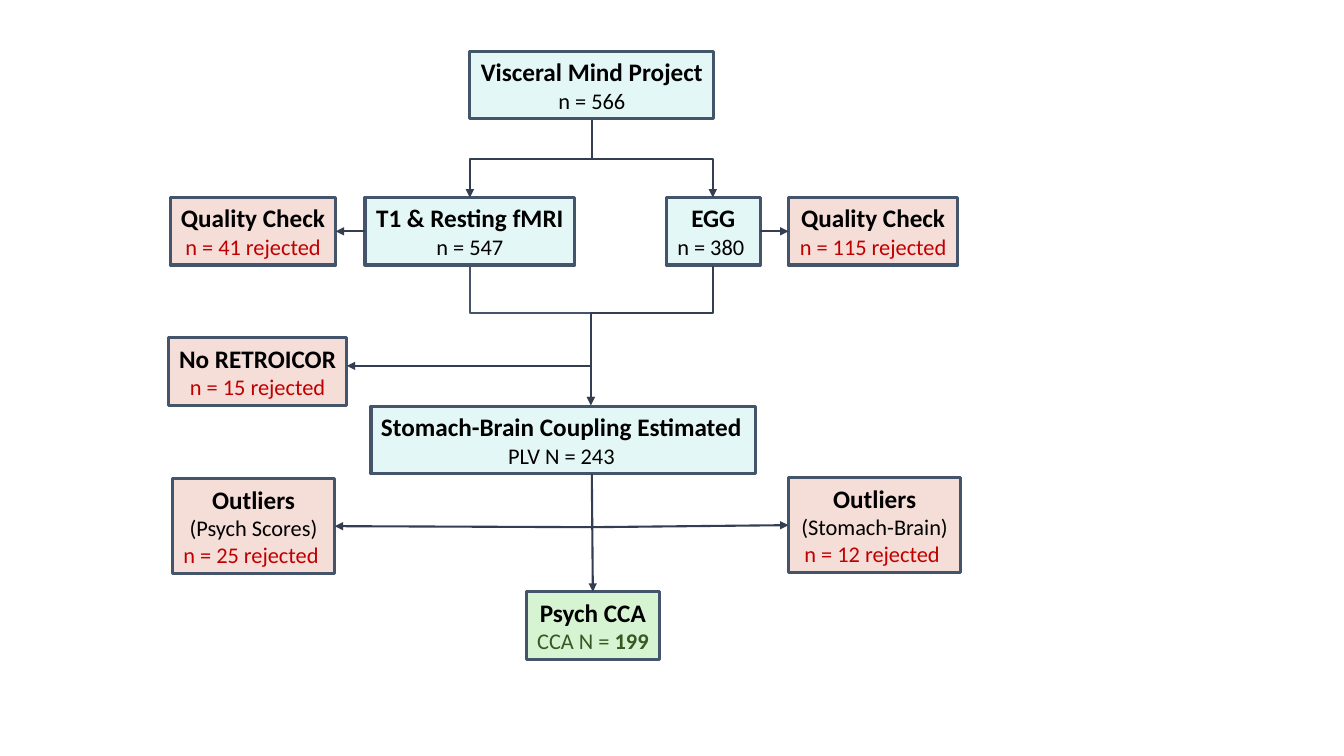
from dataclasses import dataclass
from typing import Optional

import pptx
import pptx.dml.color
import pptx.enum.shapes
import pptx.enum.text
import pptx.oxml
import pptx.oxml.ns
import pptx.util
from pptx.util import Inches

RGB = pptx.dml.color.RGBColor.from_string
ALIGN = pptx.enum.text.PP_ALIGN
CONNECTOR = pptx.enum.shapes.MSO_CONNECTOR
TOP, LEFT, RIGHT = 0, 1, 3


@dataclass(frozen=True)
class Theme:
    font: str = "Calibri"
    heading_size: int = 18
    detail_size: int = 16
    border_width: float = 2.25
    arrow_width: float = 1.5
    border: str = "44546A"
    arrow: str = "333F50"
    text: str = "000000"
    rejected_text: str = "C00000"
    final_text: str = "385723"
    kept_fill: str = "E3F7F7"
    rejected_fill: str = "F5DDD8"
    final_fill: str = "D6F3D2"


THEME = Theme()


@dataclass(frozen=True)
class Detail:
    text: str
    color: str = THEME.text
    bold_ending: str = ""


@dataclass(frozen=True)
class Stage:
    heading: str
    details: tuple[Detail, ...]
    left: float
    top: float
    width: float
    height: float = 0.67
    fill: str = THEME.kept_fill
    heading_align: ALIGN = ALIGN.CENTER


@dataclass(frozen=True)
class Arrow:
    """A straight arrow; a joined end is a stage key and a side."""
    start: tuple[float, float]
    end: tuple[float, float]
    start_join: Optional[tuple[str, int]] = None
    end_join: Optional[tuple[str, int]] = None


@dataclass(frozen=True)
class Elbow:
    """An arrow that runs down, across and down; bend is the share of the drop before the turn."""
    start: tuple[float, float]
    end: tuple[float, float]
    bend: float = 0.5
    color: str = THEME.arrow


def rejected(count: str) -> Detail:
    return Detail(f"n = {count}", THEME.rejected_text)


PINK = THEME.rejected_fill
STAGES = {
    "project": Stage("Visceral Mind Project", (Detail("n = 566"),), 4.66, 0.51, 2.42),
    "fmri_check": Stage("Quality Check", (rejected("41 rejected"),), 1.69, 1.96, 1.64, fill=PINK),
    "fmri": Stage("T1 & Resting fMRI", (Detail("n = 547"),), 3.62, 1.96, 2.08),
    "egg": Stage("EGG", (Detail("n = 380 "),), 6.61, 1.96, 0.93),
    "egg_check": Stage("Quality Check", (rejected("115 rejected"),), 7.82, 1.96, 1.68, fill=PINK),
    "no_retroicor": Stage("No RETROICOR", (rejected("15 rejected"),), 1.67, 3.35, 1.77, fill=PINK),
    "coupling": Stage("Stomach-Brain Coupling Estimated", (Detail("PLV N = 243"),),
                      3.68, 4.03, 3.81, heading_align=ALIGN.LEFT),
    "psych_outliers": Stage("Outliers", (Detail("(Psych Scores)"), rejected("25 rejected ")),
                            1.71, 4.75, 1.61, 0.94, PINK),
    "coupling_outliers": Stage("Outliers", (Detail("(Stomach-Brain)"), rejected("12 rejected ")),
                               7.82, 4.74, 1.71, 0.94, PINK),
    "cca": Stage("Psych CCA", (Detail("CCA N = ", THEME.final_text, "199"),),
                 5.22, 5.87, 1.32, fill=THEME.final_fill),
}

ELBOWS = (
    Elbow((5.87, 1.19), (4.66, 1.96)),
    Elbow((5.87, 1.19), (7.07, 1.96)),
    Elbow((4.66, 2.64), (5.86, 4.02), 0.34, THEME.border),
    Elbow((7.07, 2.64), (5.86, 4.02), 0.34),
)

ARROWS = (
    Arrow((3.62, 2.3), (3.33, 2.3), ("fmri", LEFT), ("fmri_check", RIGHT)),
    Arrow((7.54, 2.3), (7.82, 2.3), ("egg", RIGHT), ("egg_check", LEFT)),
    Arrow((5.86, 3.63), (3.44, 3.63)),
    Arrow((5.87, 4.7), (5.88, 5.87), end_join=("cca", TOP)),
    Arrow((5.87, 5.23), (7.82, 5.21), end_join=("coupling_outliers", LEFT)),
    Arrow((5.87, 5.23), (3.32, 5.22), end_join=("psych_outliers", RIGHT)),
)


def format_paragraph(paragraph, size: int, color: str, align: ALIGN) -> None:
    paragraph.alignment = align
    paragraph.font.name = THEME.font
    paragraph.font.size = pptx.util.Pt(size)
    paragraph.font.color.rgb = RGB(color)


def draw_stage(slide, stage: Stage):
    box = slide.shapes.add_shape(
        pptx.enum.shapes.MSO_SHAPE.RECTANGLE,
        Inches(stage.left), Inches(stage.top), Inches(stage.width), Inches(stage.height))
    box.shadow.inherit = False
    box.fill.solid()
    box.fill.fore_color.rgb = RGB(stage.fill)
    box.line.color.rgb = RGB(THEME.border)
    box.line.width = pptx.util.Pt(THEME.border_width)

    frame = box.text_frame
    frame.word_wrap = False
    frame.auto_size = pptx.enum.text.MSO_AUTO_SIZE.SHAPE_TO_FIT_TEXT
    heading = frame.paragraphs[0]
    heading.add_run().text = stage.heading
    format_paragraph(heading, THEME.heading_size, THEME.text, stage.heading_align)
    heading.font.bold = True
    for detail in stage.details:
        paragraph = frame.add_paragraph()
        paragraph.add_run().text = detail.text
        format_paragraph(paragraph, THEME.detail_size, detail.color, ALIGN.CENTER)
        if detail.bold_ending:
            ending = paragraph.add_run()
            ending.text = detail.bold_ending
            ending.font.bold = True
    return box


def style_connector(connector, color: str) -> None:
    connector.line.color.rgb = RGB(color)
    connector.line.width = pptx.util.Pt(THEME.arrow_width)
    namespace = pptx.oxml.ns.nsdecls("a")
    connector.line._get_or_add_ln().append(
        pptx.oxml.parse_xml(f'<a:tailEnd {namespace} type="triangle"/>'))
    connector._element.spPr.append(pptx.oxml.parse_xml(f"<a:effectLst {namespace}/>"))


def draw_elbow(slide, elbow: Elbow) -> None:
    """Lay the elbow on its side about its centre, then turn it a quarter clockwise."""
    (x1, y1), (x2, y2) = elbow.start, elbow.end
    centre_x, centre_y = (x1 + x2) / 2, (y1 + y2) / 2
    half_run, half_drop = (x2 - x1) / 2, (y2 - y1) / 2
    connector = slide.shapes.add_connector(
        CONNECTOR.ELBOW,
        Inches(centre_x - half_drop), Inches(centre_y + half_run),
        Inches(centre_x + half_drop), Inches(centre_y - half_run))
    properties = connector._element.spPr
    properties.find(pptx.oxml.ns.qn("a:xfrm")).set("rot", str(90 * 60000))
    adjustments = properties.find(".//" + pptx.oxml.ns.qn("a:avLst"))
    adjustments.append(pptx.oxml.parse_xml(
        f'<a:gd {pptx.oxml.ns.nsdecls("a")} name="adj1" fmla="val {round(elbow.bend * 100000)}"/>'))
    style_connector(connector, elbow.color)


def draw_arrow(slide, arrow: Arrow, boxes: dict) -> None:
    connector = slide.shapes.add_connector(
        CONNECTOR.STRAIGHT, *(Inches(value) for value in arrow.start + arrow.end))
    if arrow.start_join:
        key, side = arrow.start_join
        connector.begin_connect(boxes[key], side)
    if arrow.end_join:
        key, side = arrow.end_join
        connector.end_connect(boxes[key], side)
    style_connector(connector, THEME.arrow)


def main() -> None:
    deck = pptx.Presentation()
    deck.slide_width, deck.slide_height = Inches(13.33), Inches(7.5)
    slide = deck.slides.add_slide(deck.slide_layouts.get_by_name("Blank"))
    boxes = {key: draw_stage(slide, stage) for key, stage in STAGES.items()}
    for elbow in ELBOWS:
        draw_elbow(slide, elbow)
    for arrow in ARROWS:
        draw_arrow(slide, arrow, boxes)
    deck.save("out.pptx")


if __name__ == "__main__":
    main()
